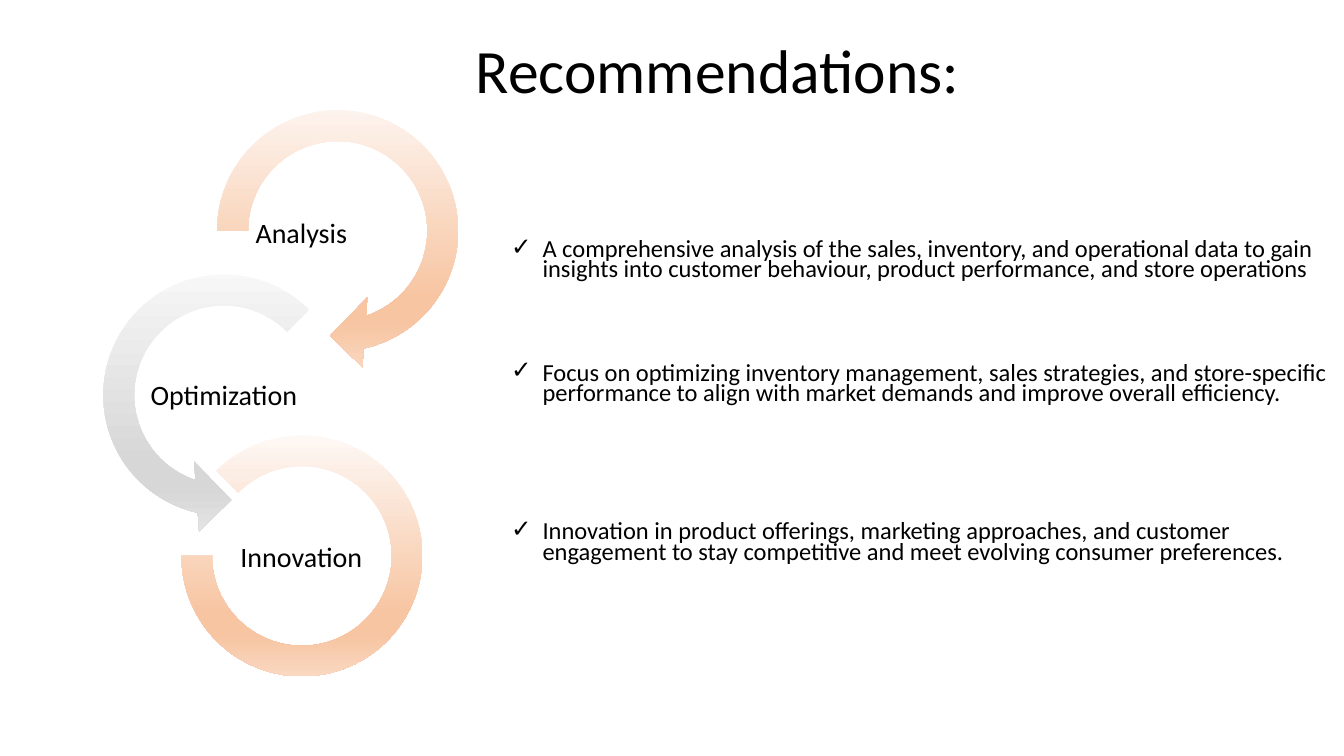
from dataclasses import dataclass

import lxml.etree
import pptx
import pptx.dml.color
import pptx.enum.dml
import pptx.enum.shapes
import pptx.enum.text
import pptx.oxml.ns
import pptx.util

RGBColor = pptx.dml.color.RGBColor
MSO_SHAPE = pptx.enum.shapes.MSO_SHAPE
PP_ALIGN = pptx.enum.text.PP_ALIGN
MIDDLE = pptx.enum.text.MSO_ANCHOR.MIDDLE
TOP = pptx.enum.text.MSO_ANCHOR.TOP
qn = pptx.oxml.ns.qn

BLACK = RGBColor(0x00, 0x00, 0x00)
PEACH = (RGBColor(0xFE, 0xF8, 0xF5), RGBColor(0xF7, 0xC5, 0xA2), RGBColor(0xFA, 0xD8, 0xC1))
GREY = (RGBColor(0xFA, 0xFA, 0xFA), RGBColor(0xD7, 0xD7, 0xD7), RGBColor(0xE4, 0xE4, 0xE4))

WIDTH, HEIGHT = pptx.util.Inches(13.333), pptx.util.Inches(7.5)
FONT = "Calibri"
BULLET_INDENT = 2.34
LABEL_TOP, LABEL_STEP = 25.87, 21.4


@dataclass(frozen=True)
class Box:
    """A frame in percent of the slide's width and height."""
    left: float
    top: float
    width: float
    height: float


@dataclass(frozen=True)
class Stage:
    label: str
    label_left: float
    preset: MSO_SHAPE
    box: Box
    adjustments: tuple[float, ...]
    colors: tuple[RGBColor, RGBColor, RGBColor]


@dataclass(frozen=True)
class Advice:
    text: str
    space_before: float


TITLE_BOX = Box(34.65, 1.2, 40.88, 16.93)
BODY_BOX = Box(37.28, 16.27, 62.7, 71.47)

STAGES = [
    Stage("Analysis", 16.65, MSO_SHAPE.CIRCULAR_ARROW, Box(14.7, 12, 20.85, 37.07),
          (0.11, 11.42, 45, 108, 0.125), PEACH),
    Stage("Optimization", 10.88, MSO_SHAPE.LEFT_CIRCULAR_ARROW, Box(6.23, 33.73, 20.85, 37.07),
          (0.11, 11.42, 63, 189, 0.125), GREY),
    Stage("Innovation", 16.65, MSO_SHAPE.BLOCK_ARC, Box(13.5, 57.6, 17.93, 31.87),
          (135, 108, 0.127), PEACH),
]

ADVICE = [
    Advice("A comprehensive analysis of the sales, inventory, and operational data to gain "
           "insights into customer behaviour, product performance, and store operations", 0),
    Advice("Focus on optimizing inventory management, sales strategies, and store-specific "
           "performance to align with market demands and improve overall efficiency.", 59),
    Advice("Innovation in product offerings, marketing approaches, and customer engagement "
           "to stay competitive and meet evolving consumer preferences.", 84),
]


def across(percent: float) -> int:
    return round(WIDTH * percent / 100)


def down(percent: float) -> int:
    return round(HEIGHT * percent / 100)


def frame(box: Box) -> tuple[int, int, int, int]:
    return across(box.left), down(box.top), across(box.width), down(box.height)


def apply(target, values: dict) -> None:
    for name, value in values.items():
        setattr(target, name, value)


def place(sp, box: Box) -> None:
    apply(sp, dict(zip(("left", "top", "width", "height"), frame(box))))


def write(p, text: str, size: float, **paragraph_format) -> None:
    apply(p, paragraph_format)
    r = p.add_run()
    r.text = text
    apply(r.font, {"name": FONT, "size": pptx.util.Pt(size)})
    r.font.color.rgb = BLACK


def fill_gradient(sp, colors: tuple[RGBColor, RGBColor, RGBColor]) -> None:
    """Shade from top to bottom, with a flat band near the end."""
    light, deep, soft = colors
    sp.fill.gradient()
    sp.fill.gradient_angle = 270
    stops = sp.element.spPr.find(".//" + qn("a:gsLst"))
    for stop in list(stops):
        stops.remove(stop)
    for percent, color in ((0, light), (74, deep), (83, deep), (100, soft)):
        stop = lxml.etree.SubElement(stops, qn("a:gs"), pos=str(percent * 1000))
        lxml.etree.SubElement(stop, qn("a:srgbClr"), val=str(color))


def add_ring(slide, stage: Stage) -> None:
    sp = slide.shapes.add_shape(stage.preset, *frame(stage.box))
    for i, value in enumerate(stage.adjustments):
        sp.adjustments[i] = value
    sp.shadow.inherit = False
    sp.line.fill.background()
    fill_gradient(sp, stage.colors)


def add_label(slide, stage: Stage, row: int) -> None:
    box = Box(stage.label_left, LABEL_TOP + row * LABEL_STEP, 11.55, 10.27)
    tf = slide.shapes.add_textbox(*frame(box)).text_frame
    margin = pptx.util.Pt(1)
    apply(tf, {"word_wrap": True, "vertical_anchor": MIDDLE, "margin_left": margin,
               "margin_right": margin, "margin_top": margin, "margin_bottom": margin})
    write(tf.paragraphs[0], stage.label, 20, alignment=PP_ALIGN.CENTER, line_spacing=0.9)


def add_check_mark(p) -> None:
    pPr = p._p.get_or_add_pPr()
    indent = across(BULLET_INDENT)
    pPr.set("marL", str(indent))
    pPr.set("indent", str(-indent))
    lxml.etree.SubElement(pPr, qn("a:buChar"), char="✓")


def fill_title(sp) -> None:
    place(sp, TITLE_BOX)
    tf = sp.text_frame
    apply(tf, {"auto_size": pptx.enum.text.MSO_AUTO_SIZE.NONE, "vertical_anchor": MIDDLE})
    write(tf.paragraphs[0], "Recommendations:", 44, alignment=PP_ALIGN.LEFT, line_spacing=0.9)


def fill_body(sp) -> None:
    place(sp, BODY_BOX)
    tf = sp.text_frame
    apply(tf, {"auto_size": pptx.enum.text.MSO_AUTO_SIZE.NONE, "word_wrap": True,
               "vertical_anchor": TOP, "margin_top": down(15.6)})
    for i, advice in enumerate(ADVICE):
        p = tf.add_paragraph() if i else tf.paragraphs[0]
        add_check_mark(p)
        write(p, advice.text, 17.5, line_spacing=0.7,
              space_before=pptx.util.Pt(advice.space_before))


def main() -> None:
    prs = pptx.Presentation()
    apply(prs, {"slide_width": WIDTH, "slide_height": HEIGHT})
    slide = prs.slides.add_slide(prs.slide_layouts[1])
    fill_title(slide.shapes.title)
    for row, stage in enumerate(STAGES):
        add_ring(slide, stage)
        add_label(slide, stage, row)
    fill_body(slide.placeholders[1])
    prs.save("out.pptx")


if __name__ == "__main__":
    main()
